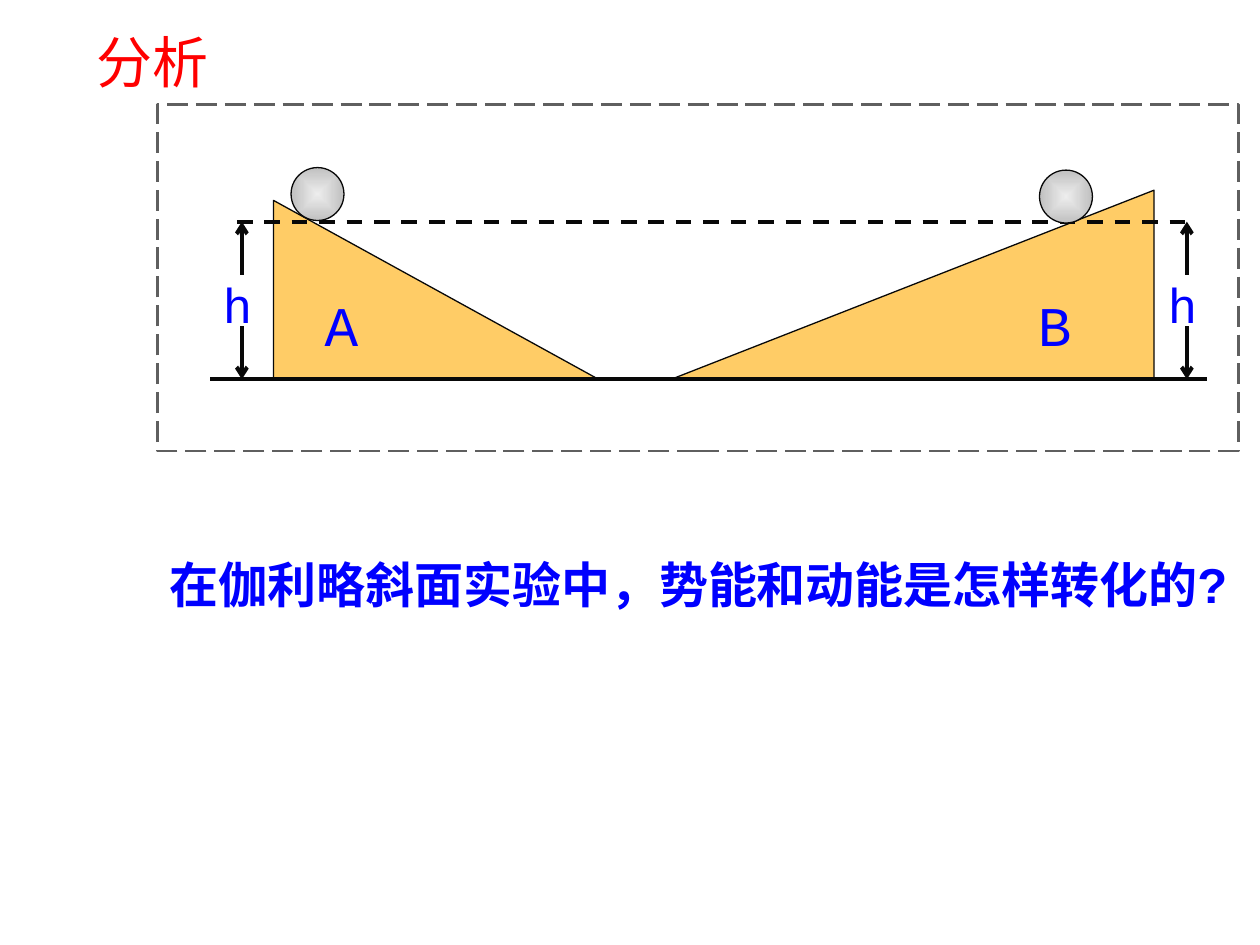
import pptx
import pptx.dml.color
import pptx.enum.dml
import pptx.enum.shapes
import pptx.enum.text
import pptx.oxml
import pptx.oxml.ns
import pptx.util
from lxml import etree
from pptx.util import Inches

SHAPE = pptx.enum.shapes.MSO_SHAPE
DASH = pptx.enum.dml.MSO_LINE
ALIGN = pptx.enum.text.PP_ALIGN
INK = "080808"
BLUE = "0000FF"


def rgb(value):
    """Turn a hex string into a colour."""
    return pptx.dml.color.RGBColor.from_string(value)


def add_xml(parent, tag, **attributes):
    """Append a drawing element to a parent element."""
    return etree.SubElement(parent, pptx.oxml.ns.qn(tag), attributes)


def set_line(line, color, width, dash=None):
    """Format a line or outline."""
    line.color.rgb = rgb(color)
    line.width = pptx.util.Pt(width)
    if dash:
        line.dash_style = dash


def fill_white_veil(shape):
    """Fill a shape with white at 70 percent opacity."""
    shape.fill.solid()
    shape.fill.fore_color.rgb = rgb("FFFFFF")
    color = shape._element.spPr.find(".//" + pptx.oxml.ns.qn("a:srgbClr"))
    add_xml(color, "a:alpha", val="70000")


def write(shape, text, font, size, color, align=ALIGN.CENTER, bold=False):
    """Put one formatted paragraph in a shape."""
    frame = shape.text_frame
    frame.word_wrap = True
    frame.auto_size = pptx.enum.text.MSO_AUTO_SIZE.NONE
    frame.vertical_anchor = pptx.enum.text.MSO_ANCHOR.TOP
    frame.text = text
    paragraph = frame.paragraphs[0]
    paragraph.alignment = align
    paragraph.font.name = font
    paragraph.font.size = pptx.util.Pt(size)
    paragraph.font.bold = bold
    paragraph.font.color.rgb = rgb(color)


def add_title(slide, left, top, width, height):
    """Place the red slide title."""
    title = slide.shapes.title
    title.left, title.top = Inches(left), Inches(top)
    title.width, title.height = Inches(width), Inches(height)
    write(title, "分析", "Arial", 32, "FF0000")


def add_question(slide, left, top, width, height):
    """Place the question about energy conversion."""
    question = slide.shapes.add_textbox(
        Inches(left), Inches(top), Inches(width), Inches(height))
    fill_white_veil(question)
    write(question, "在伽利略斜面实验中，势能和动能是怎样转化的?",
          "Arial", 28, BLUE, ALIGN.LEFT, True)


def add_experiment(slide, left, top, width, height):
    """Draw the two inclines, balls and height marks inside the dashed frame."""
    parts = slide.shapes.add_group_shape().shapes
    ground, level = 2.18, 0.93

    def outline(kind, x, y, w, h, color=INK, weight=0.75, dash=None):
        """Add an outlined shape."""
        shape = parts.add_shape(kind, Inches(left + x), Inches(top + y),
                                Inches(w), Inches(h))
        shape.shadow.inherit = False
        set_line(shape.line, color, weight, dash)
        return shape

    def incline(x, w, h, flipped):
        """Add a wedge standing on the ground."""
        wedge = outline(SHAPE.RIGHT_TRIANGLE, x, ground - h, w, h)
        wedge.fill.solid()
        wedge.fill.fore_color.rgb = rgb("FFCC66")
        if flipped:
            wedge._element.spPr.xfrm.set("flipH", "1")

    def ball(x, y):
        """Add a ball shaded from its centre."""
        sphere = outline(SHAPE.OVAL, x, y, 0.42, 0.42)
        sphere.fill.gradient()
        for stop, color in zip(sphere.fill.gradient_stops, ("EDEDED", "C0C0C0")):
            stop.color.rgb = rgb(color)
        gradient = sphere._element.spPr.find(pptx.oxml.ns.qn("a:gradFill"))
        gradient.remove(gradient.find(pptx.oxml.ns.qn("a:lin")))
        shading = add_xml(gradient, "a:path", path="shape")
        add_xml(shading, "a:fillToRect", l="50000", t="50000", r="50000", b="50000")

    def stroke(x1, y1, x2, y2, dash=None, arrow=None):
        """Add a straight line, with an arrowhead at one end if asked."""
        line = parts.add_connector(
            pptx.enum.shapes.MSO_CONNECTOR.STRAIGHT,
            Inches(left + x1), Inches(top + y1), Inches(left + x2), Inches(top + y2))
        set_line(line.line, INK, 2.25, dash)
        if arrow:
            add_xml(line.line._get_or_add_ln(), arrow, type="arrow")
        add_xml(line._element.spPr, "a:effectLst")

    def label(text, x, y, w, h, size):
        """Add a blue letter."""
        box = parts.add_textbox(Inches(left + x), Inches(top + y), Inches(w), Inches(h))
        write(box, text, "Courier New", size, BLUE)

    frame = outline(SHAPE.RECTANGLE, 0, 0, width, height, "5F5F5F", 1.5, DASH.LONG_DASH)
    fill_white_veil(frame)
    incline(0.92, 2.58, 1.42, False)
    incline(4.08, 3.83, 1.5, True)
    stroke(0.42, ground, 8.33, ground)
    stroke(0.63, level, 8.21, level, DASH.DASH)
    ball(1.06, 0.5)
    ball(7, 0.52)
    for letter, x in (("A", 1.17), ("B", 6.83)):
        label(letter, x, 1.43, 0.58, 0.63, 32)
    for x in (0.67, 8.17):
        label("h", x - 0.25, 1.3, 0.42, 0.57, 28)
        stroke(x, level, x, level + 0.42, arrow="a:headEnd")
        stroke(x, ground - 0.42, x, ground, arrow="a:tailEnd")


def main():
    """Build and save the slide."""
    deck = pptx.Presentation()
    deck.slide_width, deck.slide_height = Inches(10), Inches(7.5)
    slide = deck.slides.add_slide(deck.slide_layouts[5])
    add_question(slide, 1.25, 4.35, 8.64, 0.57)
    add_experiment(slide, 1.25, 0.83, 8.58, 2.75)
    add_title(slide, 0.17, 0.17, 2.08, 0.5)
    deck.save("out.pptx")


if __name__ == "__main__":
    main()
